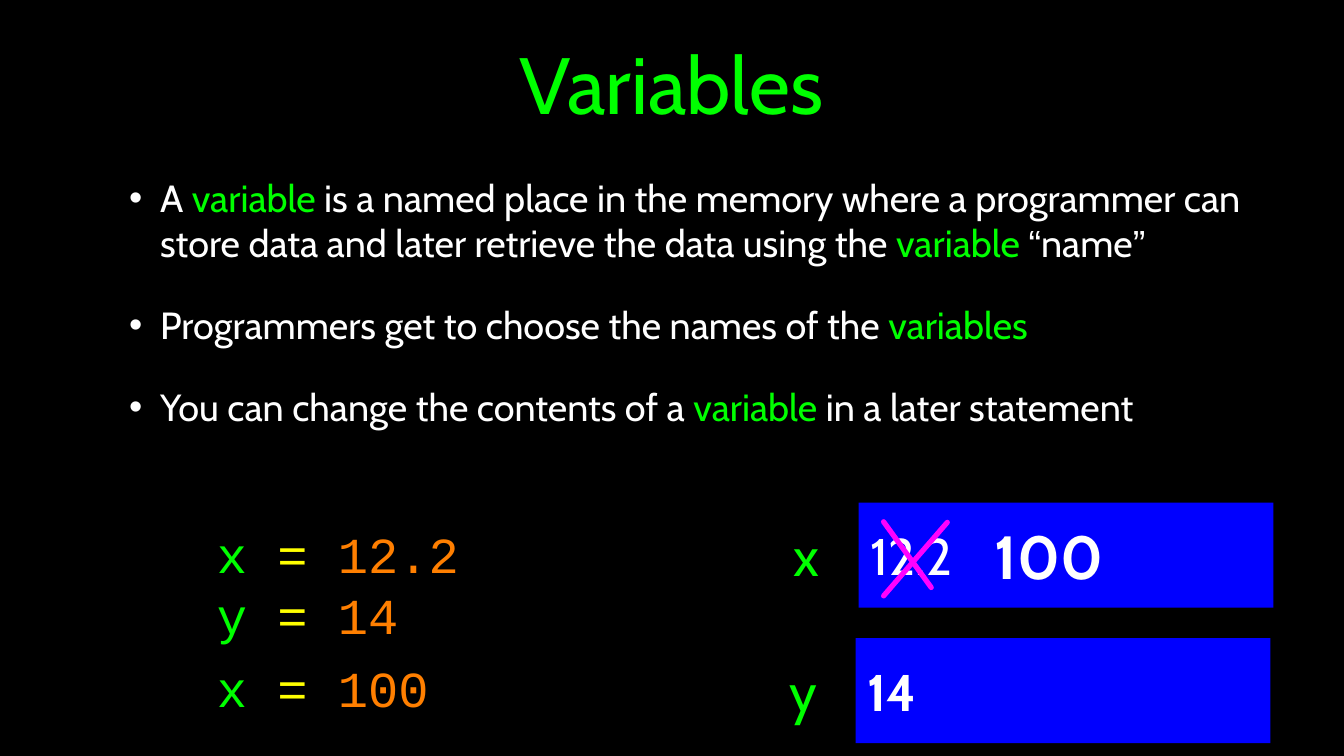
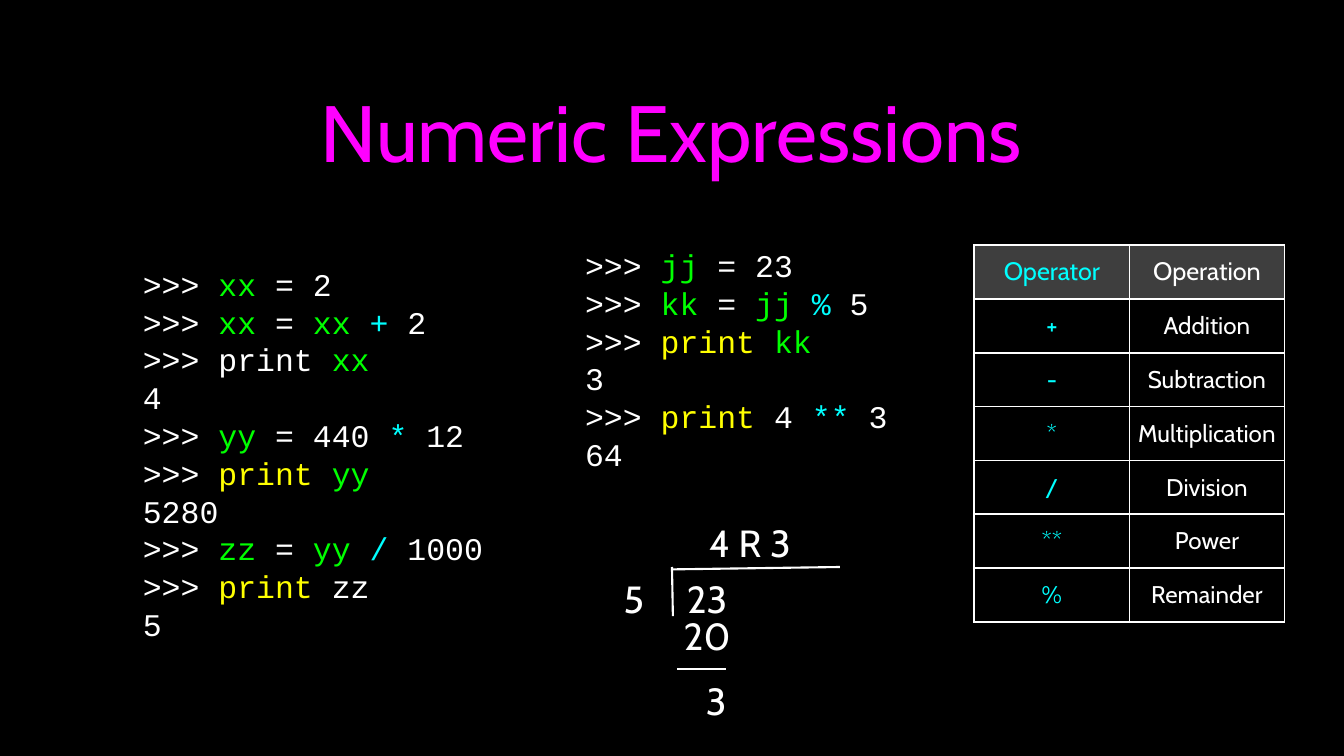
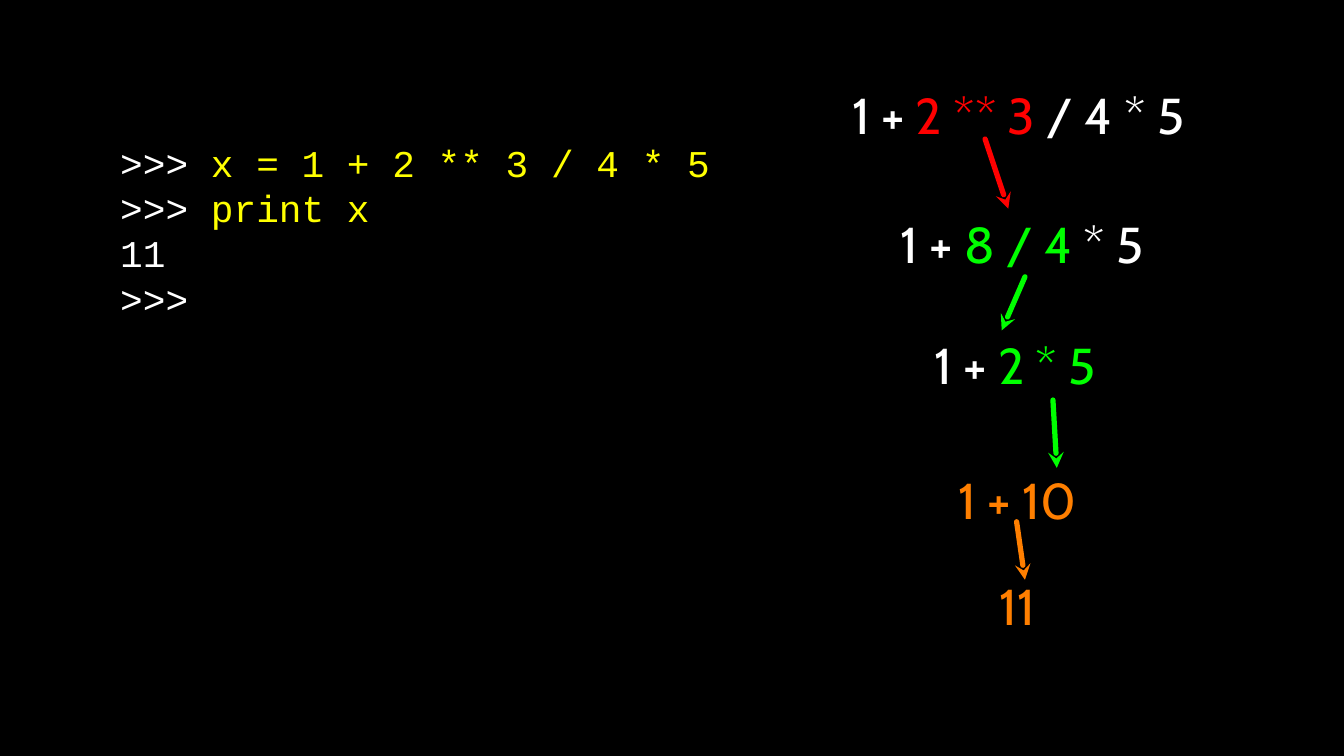
import dataclasses

import pptx
import pptx.dml.color
import pptx.enum.dml
import pptx.enum.shapes
import pptx.enum.text
import pptx.oxml
import pptx.oxml.ns
import pptx.util

Cm, Pt = pptx.util.Cm, pptx.util.Pt
RGB = pptx.dml.color.RGBColor.from_string
SHAPE = pptx.enum.shapes.MSO_SHAPE
ALIGN = pptx.enum.text.PP_ALIGN
qn = pptx.oxml.ns.qn


@dataclasses.dataclass(frozen=True)
class Theme:
    font: str = "Cabin"
    code_font: str = "Courier New"
    quote_font: str = "Arial"
    background: str = "000000"
    box: str = "0000FF"
    header: str = "7F7F7F"
    title: int = 76
    body: int = 36
    label: int = 52
    value: int = 49
    new_value: int = 58
    code_large: int = 48
    code_small: int = 30
    table_head: int = 24
    table_body: int = 23
    thick: int = 5
    thin: int = 2
    code_spacing: float = 1.2


THEME = Theme()
# Text markup: "{g}" switches to green and so on; "{q}" is white in the quote font.
INK = {"w": "FFFFFF", "g": "00FF00", "y": "FFFF00", "o": "FF7F00",
       "c": "00FFFF", "m": "FF00FF", "r": "FF0000", "q": "FFFFFF"}

# Places are left, top, width, height in centimetres.
VARIABLE_POINTS = [
    "A {g}variable{w} is a named place in the memory where a programmer can store data "
    "and later retrieve the data using the {g}variable {q}“{w}name{q}”",
    "Programmers get to choose the names of the {g}variables",
    "You can change the contents of a {g}variable {w}in a later statement",
]
FIRST_ASSIGNMENTS = ["{g}x {y}= {o}12.2", "{g}y{y} = {o}14"]
REASSIGNMENT = ["{g}x{y} = {o}100"]
MEMORY_BOXES = [  # name, name place, value, bold, box left and top
    ("x", (26.49, 17.45, 1.24, 2.39), " 12.2", False, (28.85, 16.89)),
    ("y", (26.44, 22.02, 1.12, 2.39), " 14", True, (28.75, 21.44)),
]
MEMORY_SIZE = (13.94, 3.53)
CROSS = [((31.83, 17.55), (29.69, 20.02)), ((29.69, 17.53), (31.29, 19.74))]

LEFT_SESSION = [
    ">>> {g}xx{w} = 2",
    ">>> {g}xx{w} = {g}xx {c}+{w} 2",
    ">>> print {g}xx",
    "4",
    ">>> {g}yy{w} = 440 {c}*{w} 12",
    ">>> {y}print {g}yy",
    "5280",
    ">>> {g}zz{w} = {g}yy {c}/{w} 1000",
    ">>> {y}print{w} zz",
    "5",
]
RIGHT_SESSION = [
    ">>>{g} jj{w} = 23",
    ">>> {g}kk{w} = {g}jj {c}% {w}5",
    ">>> {y}print {g}kk",
    "3",
    ">>> {y}print{w} 4 {c}**{w} 3",
    "64",
]
OPERATORS = [
    ("Operator", "Operation"), ("+", "Addition"), ("-", "Subtraction"),
    ("*", "Multiplication"), ("/", "Division"), ("**", "Power"), ("%", "Remainder"),
]
COLUMN_WIDTH, ROW_HEIGHT = 5.21, 1.81
DIVISION_TEXTS = [  # text, left, top, width
    ("5", 20.83, 19.23, 0.94), ("23", 22.86, 19.23, 1.8), ("4 R 3", 23.6, 17.37, 3.2),
    ("20", 22.86, 20.5, 1.8), ("3", 23.6, 22.66, 0.94),
]
DIVISION_HEIGHT = 1.73
DIVISION_LINES = [
    ((22.58, 19.05), (22.61, 20.7)), ((22.58, 19.13), (28.22, 19.05)),
    ((22.76, 22.48), (24.38, 22.48)),
]

EVALUATION_STEPS = [  # text, left, top, width
    ("1 + {r}2 ** 3{w} / 4 * 5", 28.63, 2.74, 11.89),
    ("1 + {g}8 / 4{w} * 5", 30.25, 7.06, 8.69),
    ("1 + {g}2 * 5", 31.39, 11.13, 6.43),
    ("{o}1 + 10", 32.21, 15.67, 4.78),
    ("{o}11", 33.58, 19.25, 2.01),
]
STEP_HEIGHT = 2.21
STEP_ARROWS = [
    ("r", (33.1, 4.67), (33.88, 7.01)), ("g", (34.44, 9.3), (33.66, 11.1)),
    ("g", (35.38, 13.44), (35.51, 15.72)), ("o", (34.16, 17.53), (34.44, 19.48)),
]
PRECEDENCE_SESSION = [
    ">>> {y}x = 1 + 2 ** 3 / 4 * 5",
    ">>> {y}print x",
    "11",
    ">>>",
]


def write(tf, lines, size, font=THEME.font, align=ALIGN.LEFT, bold=False):
    """Fill a text frame with marked-up lines, one paragraph each."""
    for i, line in enumerate(lines):
        p = tf.add_paragraph() if i else tf.paragraphs[0]
        p.alignment = align
        if font == THEME.code_font:
            p.line_spacing = Pt(size * THEME.code_spacing)
        for piece in ("{w}" + line).split("{")[1:]:
            key, text = piece.split("}")
            if text:
                r = p.add_run()
                r.text = text
                r.font.name = THEME.quote_font if key == "q" else font
                r.font.size = Pt(size)
                r.font.bold = bold
                r.font.color.rgb = RGB(INK[key])


def set_frame(tf, pad=0):
    tf.word_wrap = True
    tf.vertical_anchor = pptx.enum.text.MSO_ANCHOR.MIDDLE
    tf.margin_left = tf.margin_right = tf.margin_top = tf.margin_bottom = Cm(pad)


def add_text(slide, place, lines, size, pad=0, **style):
    tf = slide.shapes.add_textbox(*map(Cm, place)).text_frame
    set_frame(tf, pad)
    write(tf, lines, size, **style)
    return tf


def add_title(slide, text, top):
    add_text(slide, (3.2, top, 38.71, 8.56), [text], THEME.title, pad=0.1, align=ALIGN.CENTER)


def add_code(slide, place, lines, size):
    return add_text(slide, place, lines, size, font=THEME.code_font)


def add_line(slide, start, end, ink, width, arrow=False):
    line = slide.shapes.add_connector(
        pptx.enum.shapes.MSO_CONNECTOR.STRAIGHT, *map(Cm, start + end))
    line.line.color.rgb = RGB(INK[ink])
    line.line.width = Pt(width)
    sp_pr = line._element.spPr
    ln = sp_pr.find(qn("a:ln"))
    if width == THEME.thick:
        ln.set("cap", "rnd")
    if arrow:
        ln.append(pptx.oxml.parse_xml(
            f'<a:tailEnd {pptx.oxml.ns.nsdecls("a")} type="stealth"/>'))
    sp_pr.append(pptx.oxml.parse_xml(f'<a:effectLst {pptx.oxml.ns.nsdecls("a")}/>'))


def add_bullets(tf):
    for i, p in enumerate(tf.paragraphs):
        p.space_before = Pt(35 if i else 0)
        p_pr = p._p.get_or_add_pPr()
        p_pr.set("marL", str(Cm(2.08)))
        p_pr.set("indent", str(-Cm(1.04)))
        for xml in (f'<a:buClr {{}}><a:srgbClr val="{INK["w"]}"/></a:buClr>',
                    '<a:buFont {} typeface="Arial"/>', '<a:buChar {} char="•"/>'):
            p_pr.append(pptx.oxml.parse_xml(xml.format(pptx.oxml.ns.nsdecls("a"))))


def set_cell_borders(cell):
    tc_pr = cell._tc.get_or_add_tcPr()
    for i, side in enumerate(("lnL", "lnR", "lnT", "lnB")):
        tc_pr.insert(i, pptx.oxml.parse_xml(
            f'<a:{side} {pptx.oxml.ns.nsdecls("a")} w="{Pt(THEME.thin)}"><a:solidFill>'
            f'<a:srgbClr val="{INK["w"]}"/></a:solidFill></a:{side}>'))


def add_operator_table(slide):
    rows, cols = len(OPERATORS), len(OPERATORS[0])
    table = slide.shapes.add_table(
        rows, cols, Cm(32.74), Cm(8.23), Cm(cols * COLUMN_WIDTH), Cm(rows * ROW_HEIGHT)).table
    table.first_row = table.horz_banding = False
    for i, row in enumerate(OPERATORS):
        for j, text in enumerate(row):
            cell = table.cell(i, j)
            cell.vertical_anchor = pptx.enum.text.MSO_ANCHOR.MIDDLE
            cell.margin_left = cell.margin_right = Cm(0.1)
            cell.margin_top = cell.margin_bottom = Cm(0.1)
            write(cell.text_frame, ["{w}" + text if j else "{c}" + text],
                  THEME.table_body if i else THEME.table_head, align=ALIGN.CENTER)
            if i:
                cell.fill.background()
            else:
                cell.fill.solid()
                cell.fill.fore_color.rgb = RGB(THEME.header)
                color = cell._tc.tcPr.find(".//" + qn("a:srgbClr"))
                color.append(pptx.oxml.parse_xml(
                    f'<a:alpha {pptx.oxml.ns.nsdecls("a")} val="49000"/>'))
            set_cell_borders(cell)


def build_variables(slide):
    add_title(slide, "{g}Variables", -1.5)
    add_bullets(add_text(slide, (3.2, 5.51, 38.71, 9.27), VARIABLE_POINTS, THEME.body, pad=0.1))
    for name, name_place, value, bold, corner in MEMORY_BOXES:
        sp = slide.shapes.add_shape(SHAPE.RECTANGLE, *map(Cm, corner + MEMORY_SIZE))
        sp.shadow.inherit = False
        sp.fill.solid()
        sp.fill.fore_color.rgb = RGB(THEME.box)
        sp.line.fill.background()
        set_frame(sp.text_frame)
        write(sp.text_frame, [value], THEME.value, bold=bold)
        add_text(slide, name_place, ["{g}" + name], THEME.label, align=ALIGN.CENTER)
    tf = add_code(slide, (7.29, 17.32, 11.23, 6.63), FIRST_ASSIGNMENTS, THEME.code_large)
    tf.margin_bottom = Pt(THEME.code_large * THEME.code_spacing)
    for start, end in CROSS:
        add_line(slide, start, end, "m", THEME.thick)
    add_text(slide, (32.92, 17.35, 4.65, 2.62), ["100"], THEME.new_value,
             align=ALIGN.CENTER, bold=True)
    add_code(slide, (7.29, 21.89, 10.52, 2.39), REASSIGNMENT, THEME.code_large)


def build_expressions(slide):
    add_code(slide, (4.8, 7.87, 12.4, 14.76), LEFT_SESSION, THEME.code_small)
    add_code(slide, (19.66, 7.59, 11.18, 8.97), RIGHT_SESSION, THEME.code_small)
    add_operator_table(slide)
    for start, end in DIVISION_LINES:
        add_line(slide, start, end, "w", THEME.thin)
    for text, *place in DIVISION_TEXTS:
        add_text(slide, (*place, DIVISION_HEIGHT), [text], THEME.body, align=ALIGN.CENTER)
    add_title(slide, "{m}Numeric Expressions", 0.1)


def build_precedence(slide):
    for text, *place in EVALUATION_STEPS:
        add_text(slide, (*place, STEP_HEIGHT), [text], THEME.code_large)
    for ink, start, tip in STEP_ARROWS:
        add_line(slide, start, tip, ink, THEME.thick, arrow=True)
    add_code(slide, (4.04, 3.63, 20.42, 8.2), PRECEDENCE_SESSION, THEME.body)


def main():
    prs = pptx.Presentation()
    prs.slide_width, prs.slide_height = Cm(45.16), Cm(25.4)
    fill = prs.slide_master.background.fill
    fill.solid()
    fill.fore_color.rgb = RGB(THEME.background)
    for build in (build_variables, build_expressions, build_precedence):
        build(prs.slides.add_slide(prs.slide_layouts[6]))
    prs.save("out.pptx")


if __name__ == "__main__":
    main()
